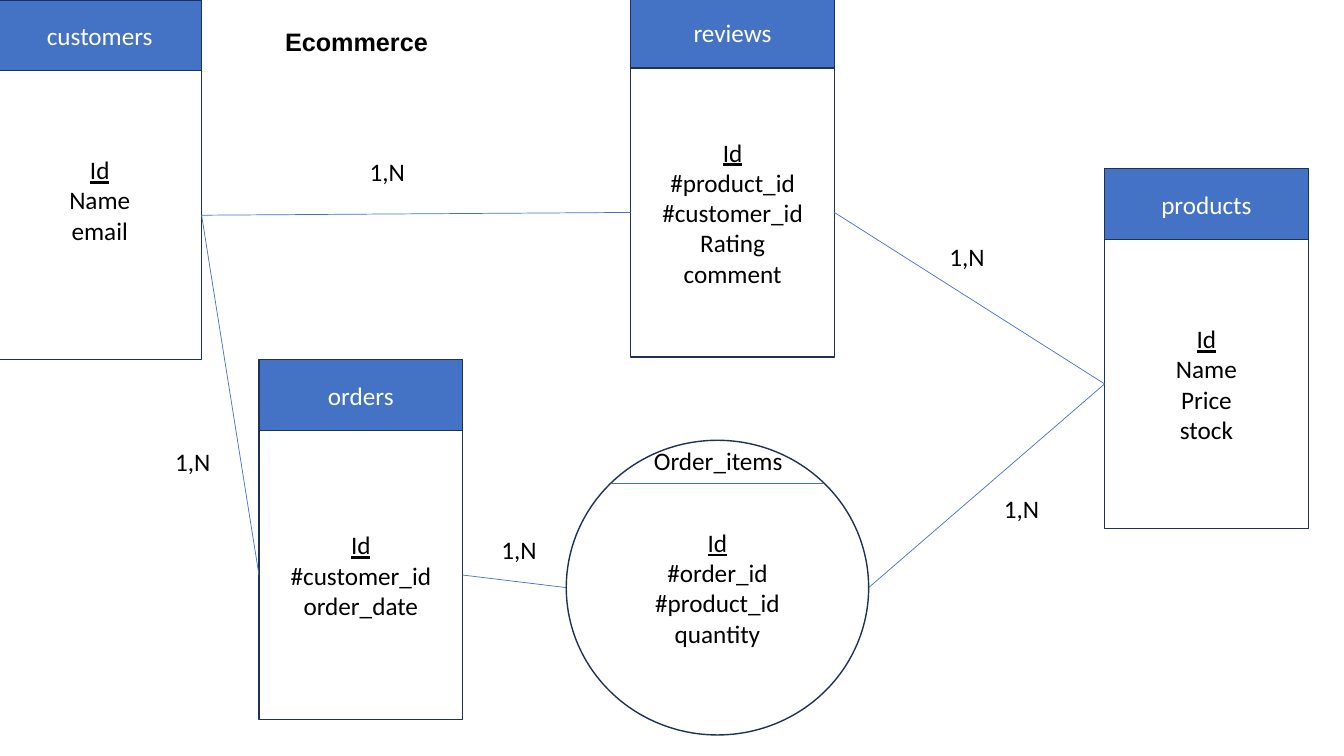
from dataclasses import dataclass
from math import sqrt

from lxml import etree
from pptx import Presentation
from pptx.dml.color import RGBColor
from pptx.enum import shapes, text
from pptx.oxml import ns
from pptx.util import Pt


@dataclass(frozen=True)
class Theme:
    blue: RGBColor = RGBColor(0x44, 0x72, 0xC4)
    outline: RGBColor = RGBColor(0x1E, 0x32, 0x56)
    white: RGBColor = RGBColor(0xFF, 0xFF, 0xFF)
    black: RGBColor = RGBColor(0, 0, 0)
    size: float = 18
    body_font: str = "Calibri"
    title_font: str = "Arial"
    border: float = 1
    link: float = 0.5


THEME = Theme()
ENTITY_WIDTH, HEADER_HEIGHT, BODY_HEIGHT = 145.5, 50.5, 206.5
LABEL_HEIGHT = 29
LINE_HEIGHT = 22
TOP, LEFT, BOTTOM, RIGHT = range(4)

# name: left, top, fields, blank lines below the fields
ENTITIES = {
    "products": (789, 120.5, ["Id", "Name", "Price", "stock"], 0),
    "customers": (-1.5, 0, ["Id", "Name", "email"], 1),
    "orders": (185, 257, ["Id", "#customer_id", "order_date"], 0),
    "reviews": (450.5, -2, ["Id", "#product_id", "#customer_id", "Rating", "comment"], 0),
}
ORDER_ITEMS = (404.5, 314.5, 216, 210.5)
ORDER_ITEMS_FIELDS = ["Id", "#order_id", "#product_id", "quantity"]

# start, end, label left, label top, label width
RELATIONS = [
    (("customers", RIGHT), ("orders", LEFT), 118, 315, 45),
    (("orders", RIGHT), ("order_items", LEFT), 351, 378, 49),
    (("order_items", RIGHT), ("products", LEFT), 710, 349, 50),
    (("customers", RIGHT), ("reviews", LEFT), 257, 108, 67),
    (("reviews", RIGHT), ("products", LEFT), 671, 169, 56),
]


def style(para, color, font=THEME.body_font, bold=None):
    para.font.size = Pt(THEME.size)
    para.font.name = font
    para.font.color.rgb = color
    para.font.bold = bold


def add_panel(page, kind, box, fill, color, lines, blank_below=0):
    """Outlined shape with centred lines; the key field Id is underlined."""
    panel = page.shapes.add_shape(kind, *map(Pt, box))
    panel.shadow.inherit = False
    panel.fill.solid()
    panel.fill.fore_color.rgb = fill
    panel.line.color.rgb = THEME.outline
    panel.line.width = Pt(THEME.border)
    frame = panel.text_frame
    frame.word_wrap = True
    frame.vertical_anchor = text.MSO_ANCHOR.MIDDLE
    frame.margin_bottom = Pt(3.6 + blank_below * LINE_HEIGHT)
    for index, line in enumerate(lines):
        para = frame.add_paragraph() if index else frame.paragraphs[0]
        para.text = line
        para.alignment = text.PP_ALIGN.CENTER
        style(para, color)
        if line == "Id":
            para.font.underline = True
    return panel


def add_label(page, words, left, top, width, font=THEME.body_font, bold=None):
    label = page.shapes.add_textbox(Pt(left), Pt(top), Pt(width), Pt(LABEL_HEIGHT))
    label.text_frame.word_wrap = True
    para = label.text_frame.paragraphs[0]
    para.text = words
    style(para, THEME.black, font, bold)


def add_link(page, start, end):
    link = page.shapes.add_connector(shapes.MSO_CONNECTOR.STRAIGHT, *start, *end)
    link.line.color.rgb = THEME.blue
    link.line.width = Pt(THEME.link)
    etree.SubElement(link._element.spPr, ns.qn("a:effectLst"))
    return link


def add_entity(page, name, left, top, fields, blank_below):
    """Header above body; returns the body with the middle height of the whole."""
    rectangle = shapes.MSO_SHAPE.RECTANGLE
    body_box = (left, top + HEADER_HEIGHT, ENTITY_WIDTH, BODY_HEIGHT)
    header_box = (left, top, ENTITY_WIDTH, HEADER_HEIGHT)
    body = add_panel(page, rectangle, body_box, THEME.white, THEME.black, fields, blank_below)
    add_panel(page, rectangle, header_box, THEME.blue, THEME.white, [name])
    return body


def add_order_items(page, box):
    """Ellipse whose name sits above a chord."""
    left, top, width, height = box
    add_panel(page, shapes.MSO_SHAPE.OVAL, box, THEME.white, THEME.black, ORDER_ITEMS_FIELDS)
    drop = 30.5
    half = width / 2 * sqrt(1 - (1 - 2 * drop / height) ** 2)
    middle = left + width / 2
    add_link(page, (Pt(middle - half), Pt(top + drop)), (Pt(middle + half), Pt(top + drop)))
    add_label(page, "Order_items", left + 55.5, top, 125)


def side_point(left, top, width, height, side):
    return Pt(left + (width if side == RIGHT else 0)), Pt(top + height / 2)


def add_relations(page, bodies):
    def anchor(name, side):
        if name in bodies:
            body = bodies[name]
            box = (body.left.pt, body.top.pt, body.width.pt, body.height.pt)
        else:
            box = ORDER_ITEMS
        return side_point(*box, side)

    for start, end, left, top, width in RELATIONS:
        link = add_link(page, anchor(*start), anchor(*end))
        if start[0] in bodies:
            link.begin_connect(bodies[start[0]], start[1])
        if end[0] in bodies:
            link.end_connect(bodies[end[0]], end[1])
        add_label(page, "1,N", left, top, width)


def build_diagram(page):
    # Entities
    bodies = {name: add_entity(page, name, *parts) for name, parts in ENTITIES.items()}
    # Relations with their cardinality
    add_relations(page, bodies)
    # Association and title
    add_order_items(page, ORDER_ITEMS)
    add_label(page, "Ecommerce", 196.5, 15, 170.5, THEME.title_font, True)


def main():
    deck = Presentation()
    deck.slide_width, deck.slide_height = Pt(960), Pt(540)
    build_diagram(deck.slides.add_slide(deck.slide_layouts[6]))
    deck.save("out.pptx")


if __name__ == "__main__":
    main()
